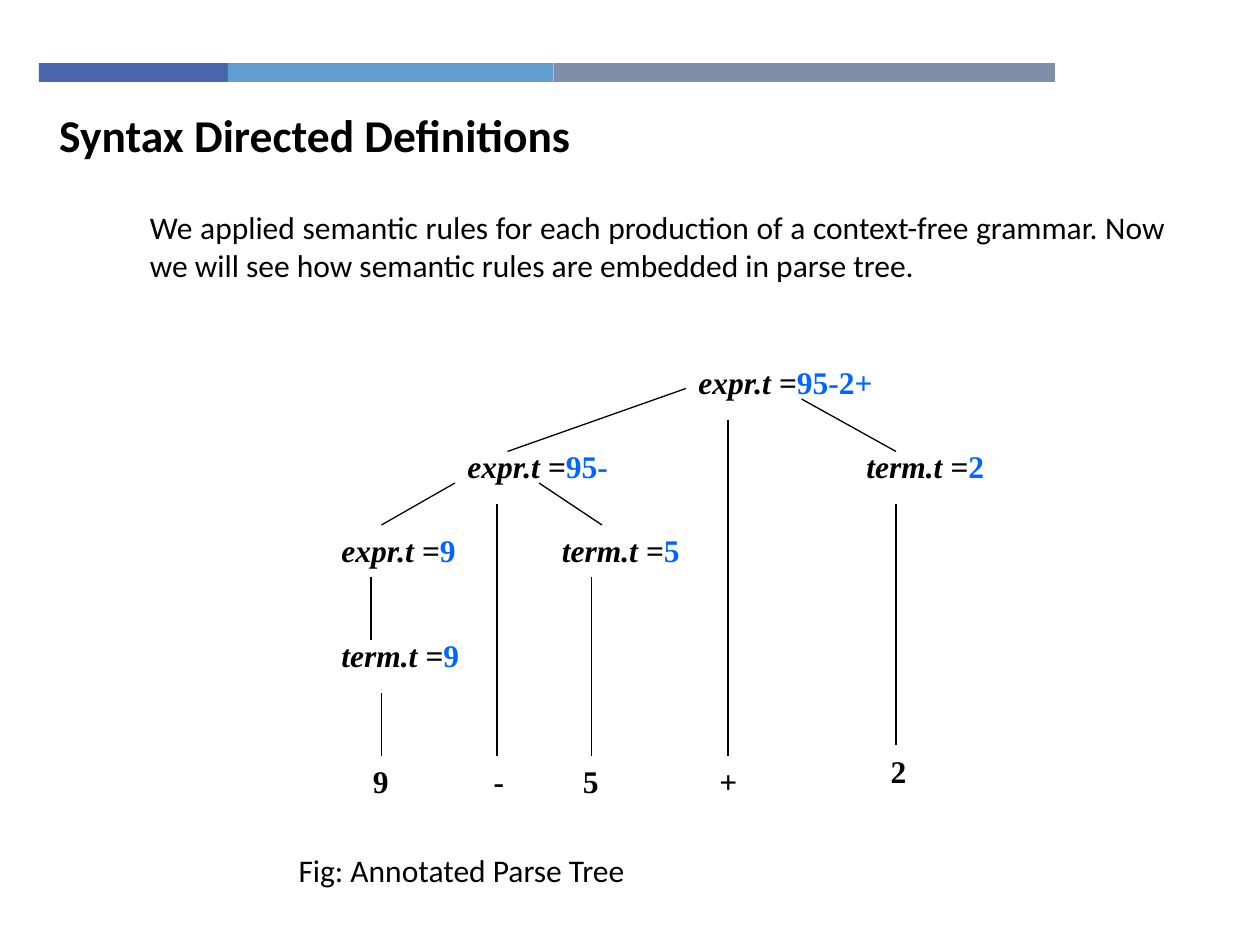
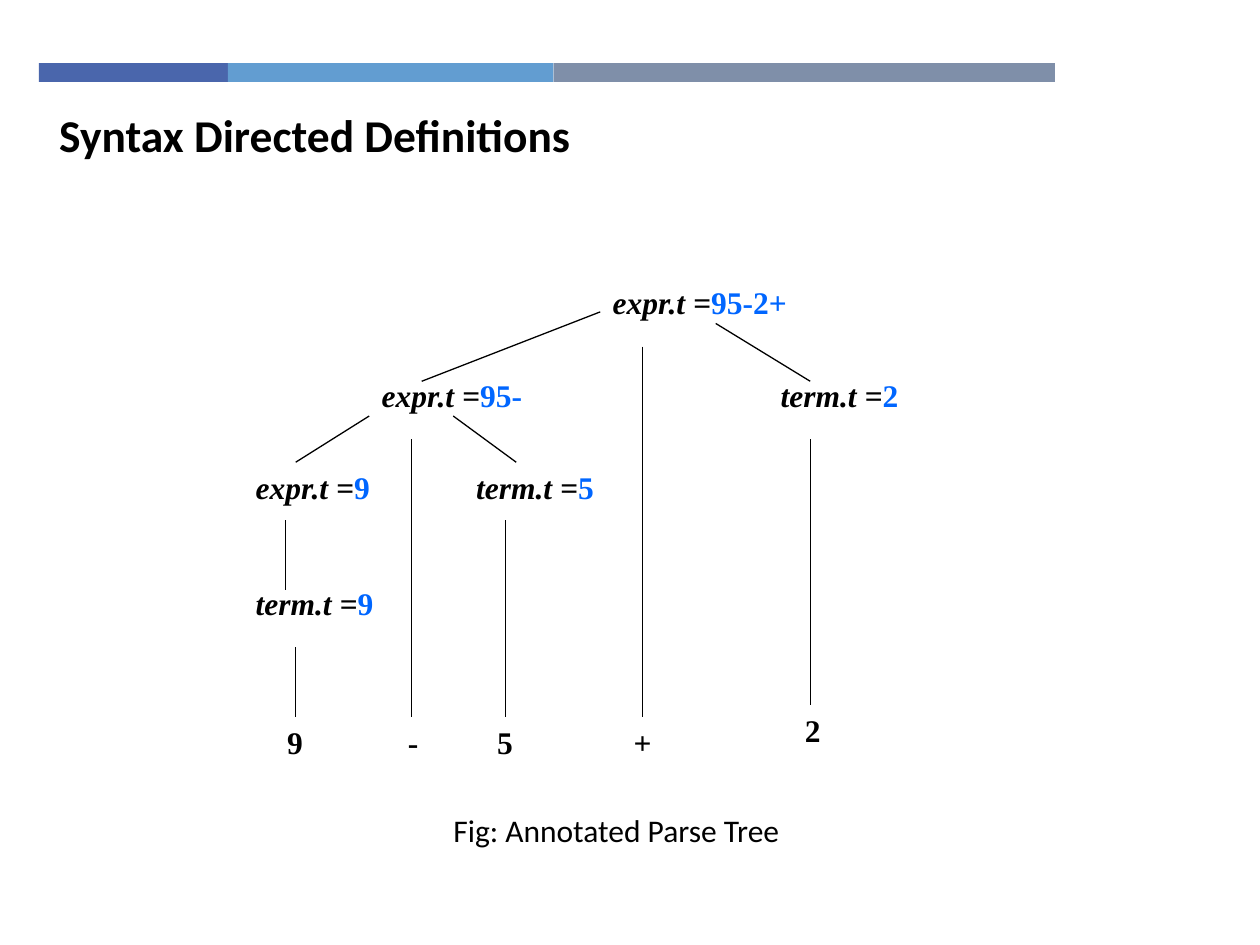
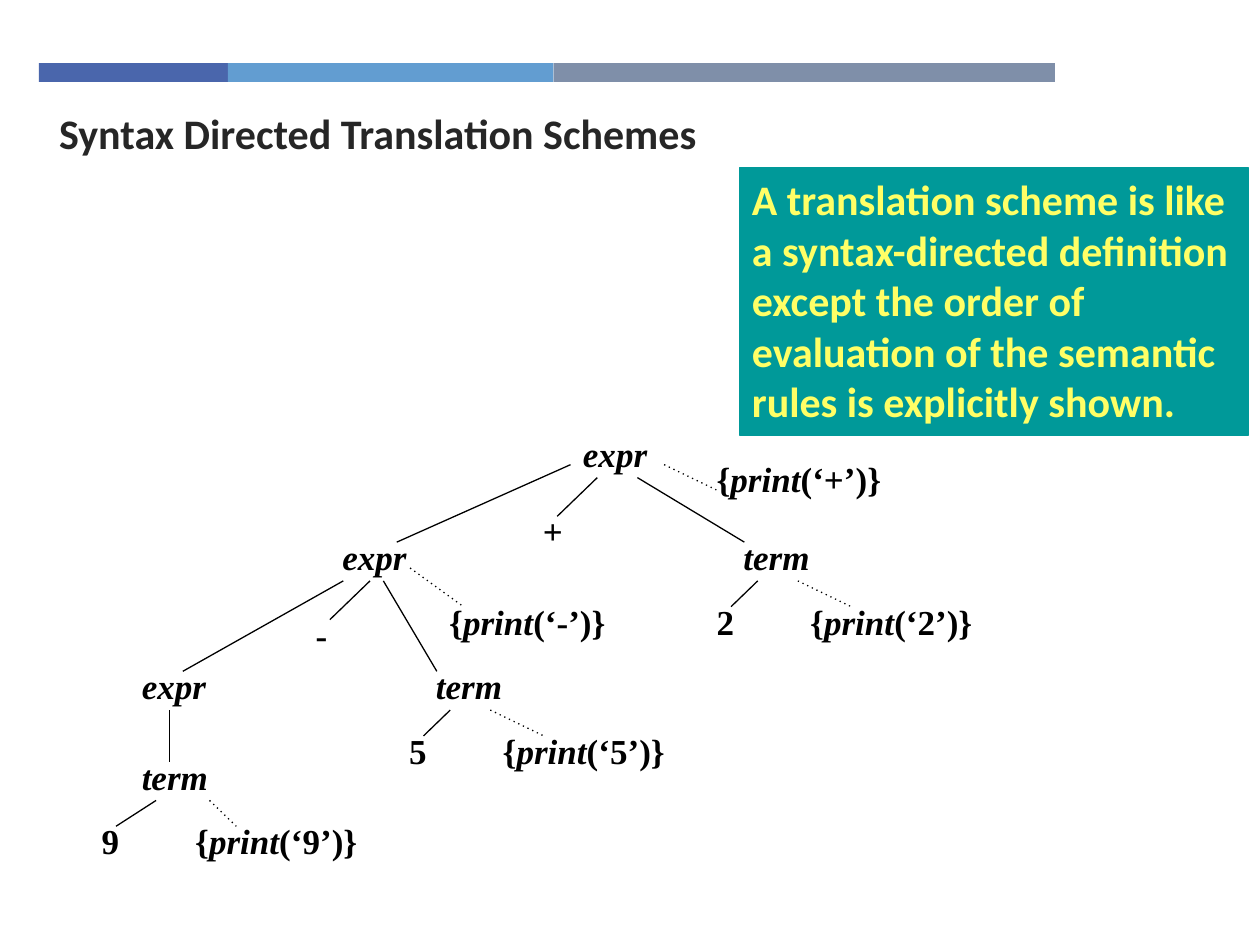
from pptx import Presentation
from pptx.dml.color import RGBColor
from pptx.enum.dml import MSO_LINE
from pptx.enum.shapes import MSO_CONNECTOR, MSO_SHAPE
from pptx.enum.text import MSO_ANCHOR, MSO_AUTO_SIZE, PP_ALIGN
from pptx.oxml.ns import qn
from pptx.util import Pt

BLACK = RGBColor(0x00, 0x00, 0x00)
GRAY = RGBColor(0x26, 0x26, 0x26)
BLUE = RGBColor(0x00, 0x66, 0xFF)
TEAL = RGBColor(0x00, 0x99, 0x99)
YELLOW = RGBColor(0xFF, 0xFF, 0x66)
SANS, SERIF = "Calibri", "Times New Roman"

BANDS = [
    (108, RGBColor(0x4A, 0x66, 0xAC)),
    (186, RGBColor(0x62, 0x9D, 0xD1)),
    (286.5, RGBColor(0x7F, 0x8F, 0xA9)),
]
DEFS = "Syntax Directed Definitions"
SCHEMES = "Syntax Directed Translation Schemes"
INTRO = ("We applied semantic rules for each production of a context-free grammar. "
         "Now we will see how semantic rules are embedded in parse tree.")
CAPTION = "Fig: Annotated Parse Tree"
NOTE = ("A translation scheme is like a syntax-directed definition except the order "
        "of evaluation of the semantic rules is explicitly shown.")

PARSE = {
    "size": 18,
    "wide": {"rule": 126, "leaf": 54},
    "nodes": [
        ("rule", ("expr", "95-2+"), 34, 0),
        ("rule", ("expr", "95-"), 12, 8),
        ("rule", ("term", "2"), 50, 8),
        ("rule", ("expr", "9"), 0, 16),
        ("rule", ("term", "5"), 21, 16),
        ("rule", ("term", "9"), 0, 26),
        ("leaf", "9", 3, 38),
        ("leaf", "-", 14.5, 38),
        ("leaf", "5", 23, 38),
        ("leaf", "+", 36, 38),
        ("leaf", "2", 52.3, 37),
    ],
    "lines": [
        (34, 3, 17, 9), (45, 4, 54, 9), (12, 12, 5, 16), (20, 12, 26, 16),
        (4, 21, 4, 27), (5, 32, 5, 38), (16, 14, 16, 38), (25, 21, 25, 38),
        (38, 6, 38, 38), (54, 14, 54, 37),
    ],
    "dots": [],
}
SCHEME = {
    "size": 20,
    "wide": {"name": 99, "leaf": 46, "print": 122},
    "nodes": [
        ("name", "expr", 36, 0),
        ("name", "expr", 18, 8),
        ("name", "term", 48, 8),
        ("name", "expr", 3, 18),
        ("name", "term", 25, 18),
        ("name", "term", 3, 25),
        ("leaf", "+", 33, 6),
        ("leaf", "-", 16, 14),
        ("leaf", "2", 46, 13),
        ("leaf", "5", 23, 23),
        ("leaf", "9", 0, 30),
        ("print", "+", 46, 2),
        ("print", "-", 26, 13),
        ("print", "2", 53, 13),
        ("print", "5", 30, 23),
        ("print", "9", 7, 30),
    ],
    "lines": [
        (36, 3, 23, 9), (38, 4, 35, 7), (41, 4, 49, 9), (19, 12, 7, 19),
        (21, 12, 18, 15), (22, 12, 26, 19), (50, 12, 48, 14), (27, 22, 25, 24),
        (6, 22, 6, 26), (5, 29, 2, 31),
    ],
    "dots": [
        (43, 3, 47, 5), (24, 11, 28, 14), (53, 12, 57, 14), (30, 22, 34, 24),
        (9, 29, 11, 31),
    ],
}


def place(shape, left, top, width, height):
    """Move and size a shape in points."""
    shape.left, shape.top = Pt(left), Pt(top)
    shape.width, shape.height = Pt(width), Pt(height)


def write(shape, runs, size, font, bold=False, align=PP_ALIGN.LEFT):
    """Fill a shape with one paragraph of (text, italic, colour) runs."""
    frame = shape.text_frame
    frame.word_wrap = True
    frame.auto_size = MSO_AUTO_SIZE.NONE
    frame.vertical_anchor = MSO_ANCHOR.TOP
    para = frame.paragraphs[0]
    para.alignment = align
    para.space_before = Pt(0)
    for text, slant, color in runs:
        run = para.add_run()
        run.text = text
        run.font.name, run.font.size = font, Pt(size)
        run.font.bold, run.font.italic = bold, slant
        run.font.color.rgb = color
    return para


def label(slide, runs, box, size, font, bold=False):
    """Add a text box."""
    shape = slide.shapes.add_textbox(*map(Pt, box))
    write(shape, runs, size, font, bold)


def block(slide, box, color):
    """Add a plain filled rectangle."""
    shape = slide.shapes.add_shape(MSO_SHAPE.RECTANGLE, *map(Pt, box))
    shape.shadow.inherit = False
    shape.fill.solid()
    shape.fill.fore_color.rgb = color
    shape.line.fill.background()
    return shape


def edge(slide, ends, dotted):
    """Draw one branch of a tree."""
    link = slide.shapes.add_connector(MSO_CONNECTOR.STRAIGHT, *map(Pt, ends))
    link.line.color.rgb = BLACK
    link.line.width = Pt(0.75)
    props = link.element.spPr
    if dotted:
        link.line.dash_style = MSO_LINE.ROUND_DOT
        props.find(".//" + qn("a:prstDash")).set("val", "dot")
    props.append(props.makeelement(qn("a:effectLst"), {}))


def parts(kind, value):
    """Split a node into its runs."""
    if kind == "rule":
        name, result = value
        return [(name + ".t =", True, BLACK), (result, False, BLUE)]
    if kind == "print":
        return [("{", False, BLACK), ("print", True, BLACK),
                (f"(‘{value}’)}}", False, BLACK)]
    return [(value, kind == "name", BLACK)]


def draw(slide, tree, left, top, col, row):
    """Draw a tree on a grid of the given column and row steps."""
    def spot(x, y):
        return left + x * col, top + y * row

    for kind, value, x, y in tree["nodes"]:
        box = (*spot(x, y), tree["wide"][kind], 32)
        label(slide, parts(kind, value), box, tree["size"], SERIF, True)
    for key in ("lines", "dots"):
        for x1, y1, x2, y2 in tree[key]:
            edge(slide, (*spot(x1, y1), *spot(x2, y2)), key == "dots")


def start(deck, layout, title, size=26, color=BLACK):
    """Add a slide with its title."""
    slide = deck.slides.add_slide(deck.slide_layouts[layout])
    head = slide.shapes.title
    place(head, 26.6, 57.6, 515.5, 39)
    write(head, [(title, False, color)], size, SANS, True)
    return slide


def brand(deck, slide):
    """Put the colour bands on the slide master."""
    left = 22.3
    for rank, (width, color) in enumerate(BANDS):
        band = block(slide, (left, 36, width, 10.8), color)
        band.element.nvSpPr.cNvPr.id = 101 + rank
        deck.slide_master.shapes.element.append(band.element)
        left += width


def main():
    """Build the deck."""
    deck = Presentation()
    deck.slide_width, deck.slide_height = Pt(720), Pt(540)

    slide = start(deck, 1, DEFS)
    brand(deck, slide)
    body = slide.placeholders[1]
    place(body, 78.5, 115.2, 594.7, 60)
    para = write(body, [(INTRO, False, BLACK)], 18, SANS, align=PP_ALIGN.JUSTIFY)
    props = para._p.get_or_add_pPr()
    props.set("marL", "0")
    props.set("indent", "0")
    props.append(props.makeelement(qn("a:buNone"), {}))
    draw(slide, PARSE, 188, 204, 6, 6)
    label(slide, [(CAPTION, False, BLACK)], (163.5, 482.5, 203, 29), 18, SANS)

    slide = start(deck, 5, DEFS)
    draw(slide, PARSE, 139, 158.4, 6, 6.61)
    label(slide, [(CAPTION, False, BLACK)], (252, 460, 203, 29), 18, SANS)

    slide = start(deck, 5, SCHEMES, 24, GRAY)
    draw(slide, SCHEME, 51, 243.4, 7.64, 7.38)
    note = block(slide, (422.6, 95.8, 290.9, 152.6), TEAL)
    note.line.color.rgb = TEAL
    note.line.width = Pt(1)
    write(note, [(NOTE, False, YELLOW)], 24, SANS, True)

    deck.save("out.pptx")


if __name__ == "__main__":
    main()
